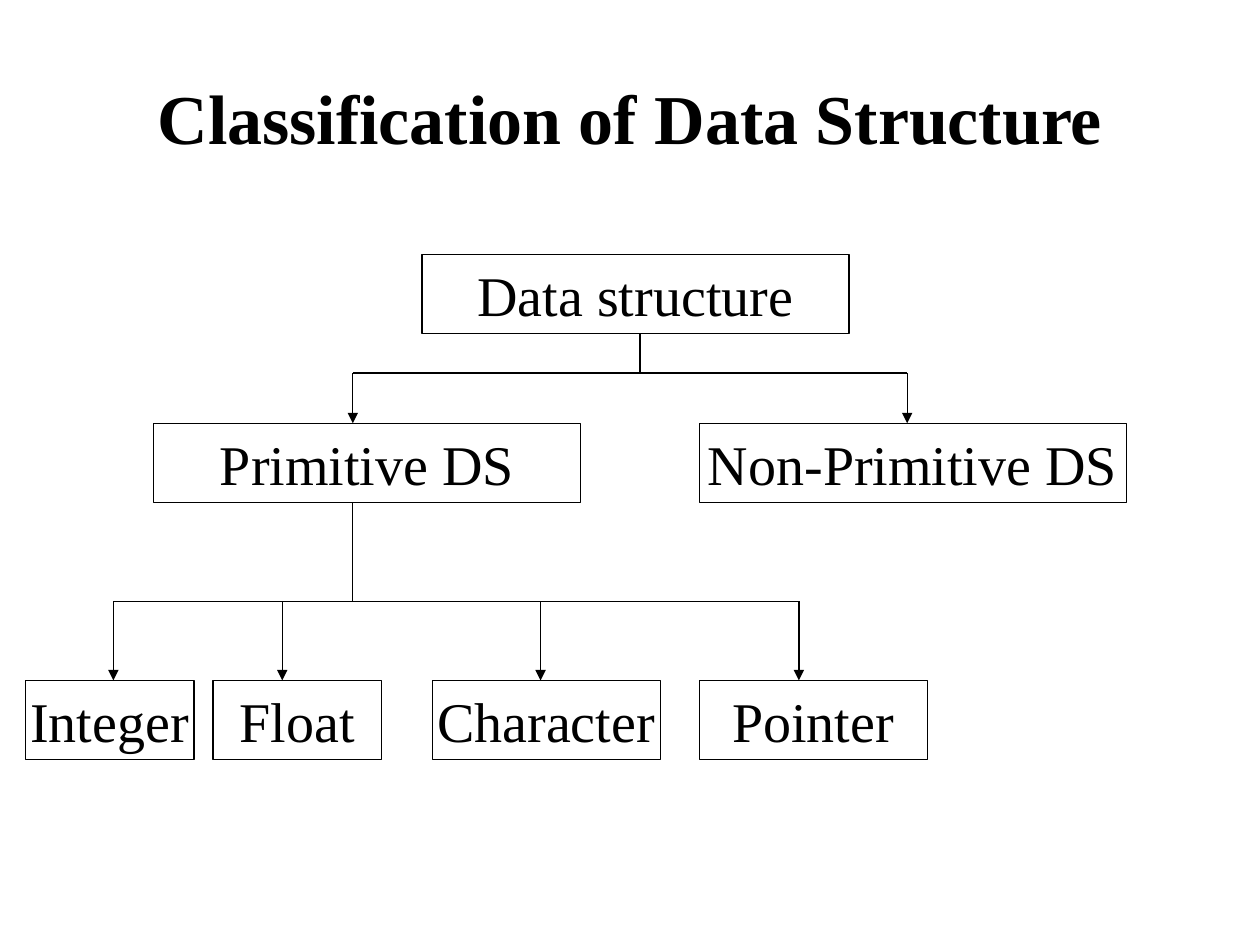
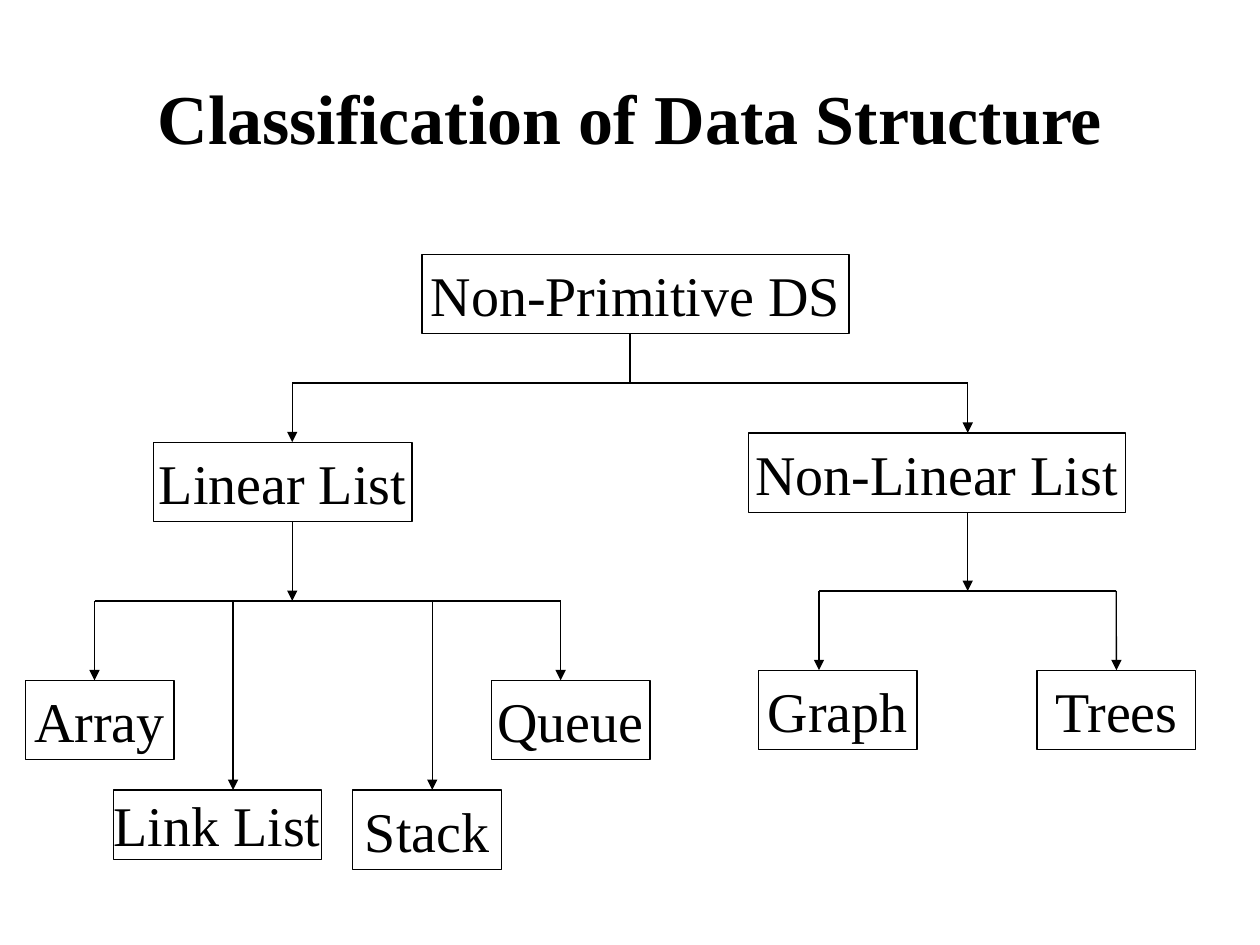
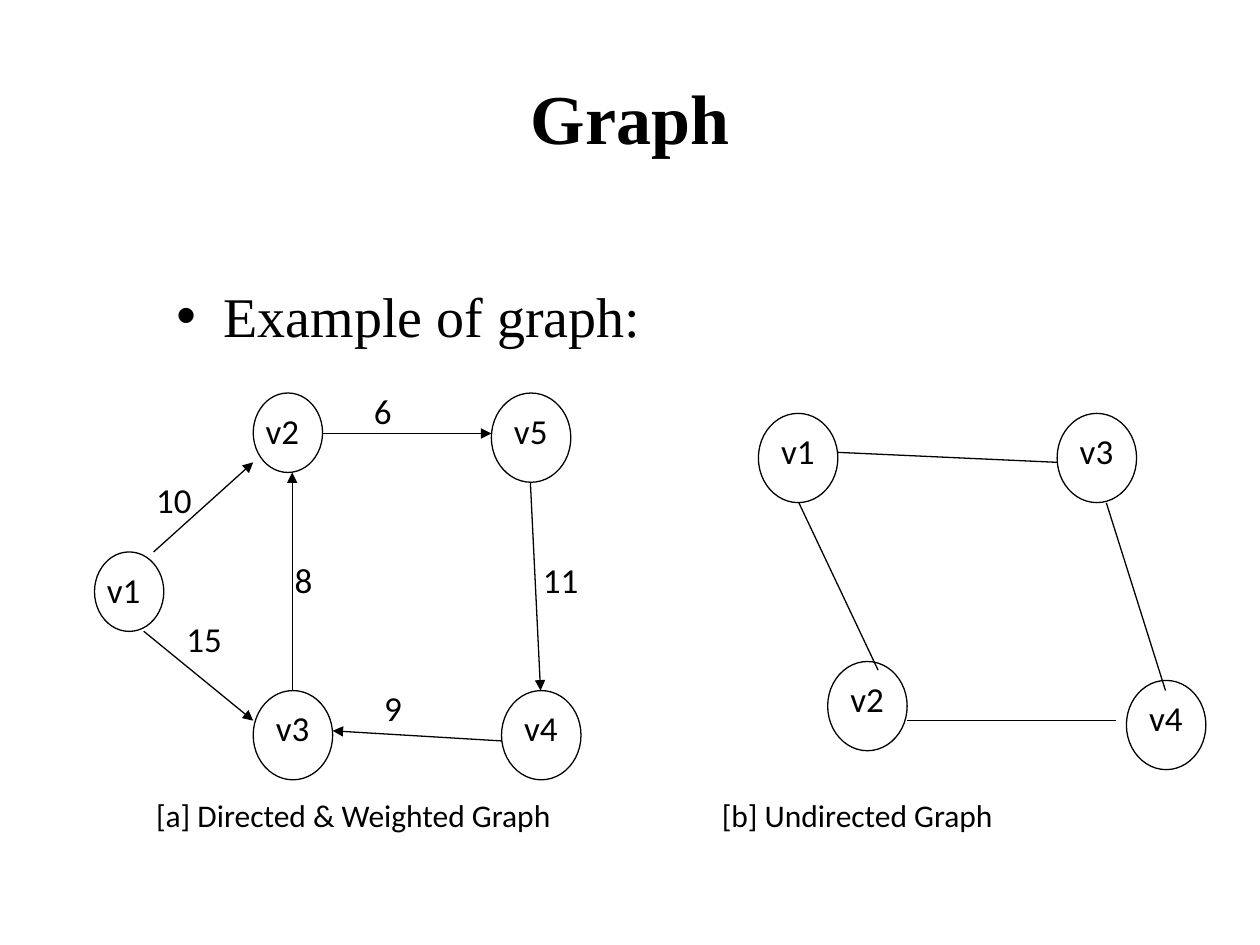
import dataclasses

import lxml.etree
import pptx
import pptx.dml.color
import pptx.enum.shapes
import pptx.enum.text
import pptx.oxml.ns
import pptx.util

Pt = pptx.util.Pt
SHAPES = pptx.enum.shapes.MSO_SHAPE
ALIGN = pptx.enum.text.PP_ALIGN
qn = pptx.oxml.ns.qn


@dataclasses.dataclass(frozen=True)
class Theme:
    ink: str = "000000"
    paper: str = "FFFFFF"
    serif: str = "Times New Roman"
    sans: str = "Calibri"
    title_size: float = 40
    body_size: float = 32
    label_size: float = 20
    caption_size: float = 18
    stroke: float = 0.75
    box_height: float = 45.4
    label_width: float = 39.6
    label_height: float = 31
    label_drop: float = 5.7


class Deck:
    def __init__(self, theme):
        self.theme = theme
        self.presentation = pptx.Presentation()
        self.presentation.slide_width = Pt(720)
        self.presentation.slide_height = Pt(540)
        self.slide = None

    def color(self, code):
        return pptx.dml.color.RGBColor.from_string(code)

    def set_text(self, frame, text, size, face, bold=False, align=None):
        paragraph = frame.paragraphs[0]
        paragraph.text = text
        paragraph.alignment = align
        font = paragraph.font
        font.name, font.size, font.bold = face, Pt(size), bold
        font.color.rgb = self.color(self.theme.ink)

    def place(self, shape, left, top, width, height):
        shape.left, shape.top = Pt(left), Pt(top)
        shape.width, shape.height = Pt(width), Pt(height)

    def new_slide(self, title, bullet=None):
        layout = self.presentation.slide_layouts[1 if bullet else 5]
        self.slide = self.presentation.slides.add_slide(layout)
        heading = self.slide.shapes.title
        self.place(heading, 36, 21.6, 648, 90)
        self.set_text(heading.text_frame, title, self.theme.title_size,
                      self.theme.serif, True, ALIGN.CENTER)
        if bullet:
            body = self.slide.placeholders[1]
            self.place(body, 93.6, 157, 612, 324)
            self.set_text(body.text_frame, bullet, self.theme.body_size, self.theme.serif)

    def outlined(self, kind, left, top, width, height):
        shape = self.slide.shapes.add_shape(kind, Pt(left), Pt(top), Pt(width), Pt(height))
        shape.shadow.inherit = False
        shape.fill.solid()
        shape.fill.fore_color.rgb = self.color(self.theme.paper)
        shape.line.color.rgb = self.color(self.theme.ink)
        shape.line.width = Pt(self.theme.stroke)
        return shape

    def box(self, text, left, top, width, height=None):
        box = self.outlined(SHAPES.RECTANGLE, left, top, width,
                            height or self.theme.box_height)
        box.text_frame.word_wrap = False
        box.text_frame.vertical_anchor = pptx.enum.text.MSO_ANCHOR.MIDDLE
        self.set_text(box.text_frame, text, self.theme.body_size, self.theme.serif,
                      align=ALIGN.CENTER)
        return box

    def label(self, text, left, top, width=None, height=None, size=None):
        label = self.slide.shapes.add_textbox(
            Pt(left), Pt(top), Pt(width or self.theme.label_width),
            Pt(height or self.theme.label_height))
        label.text_frame.word_wrap = True
        label.text_frame.auto_size = pptx.enum.text.MSO_AUTO_SIZE.SHAPE_TO_FIT_TEXT
        self.set_text(label.text_frame, text, size or self.theme.label_size,
                      self.theme.sans)

    def caption(self, text, left, top):
        self.label(text, left, top, 295.2, 41, self.theme.caption_size)

    def vertex(self, name, left, top, width=45.4, height=51):
        """Draw a circle with its name aligned to the circle's right edge."""
        self.outlined(SHAPES.OVAL, left, top, width, height)
        self.label(name, left + width - self.theme.label_width,
                   top + self.theme.label_drop)

    def line(self, x1, y1, x2, y2, arrow=False):
        line = self.slide.shapes.add_connector(
            pptx.enum.shapes.MSO_CONNECTOR.STRAIGHT, Pt(x1), Pt(y1), Pt(x2), Pt(y2))
        line.line.color.rgb = self.color(self.theme.ink)
        line.line.width = Pt(self.theme.stroke)
        properties = line._element.spPr
        if arrow:
            lxml.etree.SubElement(properties.find(qn("a:ln")), qn("a:tailEnd"),
                                  type="triangle")
        lxml.etree.SubElement(properties, qn("a:effectLst"))
        return line

    def is_middle(self, box, x):
        return abs(box.left + box.width / 2 - Pt(x)) < Pt(1)

    def branch(self, parent, stem_x, bus_y, children, stem_arrow=False):
        """Join a parent to (child, arrow x) pairs through a horizontal bus."""
        stem = self.line(stem_x, (parent.top + parent.height) / Pt(1),
                         stem_x, bus_y, stem_arrow)
        if self.is_middle(parent, stem_x):
            stem.begin_connect(parent, 2)
        xs = [x for _, x in children]
        self.line(min(xs), bus_y, max(xs), bus_y)
        for child, x in children:
            drop = self.line(x, bus_y, x, child.top / Pt(1), True)
            if self.is_middle(child, x):
                drop.end_connect(child, 0)


def data_structure_slide(deck):
    deck.new_slide("Classification of Data Structure")
    root = deck.box("Data structure", 241.2, 145.4, 244)
    primitive = deck.box("Primitive DS", 87.8, 241.9, 244)
    non_primitive = deck.box("Non-Primitive DS", 399.6, 241.9, 244)
    leaf_top = 388.8
    integer = deck.box("Integer", 14.4, leaf_top, 96.5)
    float_ = deck.box("Float", 121.7, leaf_top, 96.5)
    character = deck.box("Character", 247, leaf_top, 130.3)
    pointer = deck.box("Pointer", 399.6, leaf_top, 130.3)
    deck.branch(root, 365.8, 213.1, [(primitive, 201.6), (non_primitive, 518.4)])
    deck.branch(primitive, 201.6, 343.7,
                [(integer, 64.8), (float_, 161.3), (character, 308.9), (pointer, 456.5)])


def non_primitive_slide(deck):
    deck.new_slide("Classification of Data Structure")
    root = deck.box("Non-Primitive DS", 241.2, 145.4, 244)
    linear = deck.box("Linear List", 87.8, 252.7, 147.6)
    non_linear = deck.box("Non-Linear List", 427.7, 247.4, 215.3)
    array = deck.box("Array", 14.4, 388.8, 85)
    link_list = deck.box("Link List", 64.8, 451.4, 118.8, 39.6)
    stack = deck.box("Stack", 201.6, 451.4, 85)
    queue = deck.box("Queue", 280.8, 388.8, 90.7)
    graph = deck.box("Graph", 433.4, 383, 90.7)
    trees = deck.box("Trees", 592.6, 383, 90.7)
    deck.branch(root, 360, 218.9, [(linear, 167), (non_linear, 553)])
    deck.branch(linear, 167, 343.4,
                [(array, 54), (link_list, 133.2), (stack, 247), (queue, 320.4)], True)
    deck.branch(non_linear, 553, 337.7, [(graph, 468), (trees, 637.9)], True)


def graph_slide(deck):
    deck.new_slide("Graph", "Example of graph:")

    deck.vertex("v1", 54, 315.4, 39.6, 45.4)
    deck.vertex("v2", 144.7, 224.6, 39.6, 45.4)
    for name, left, top in [
        ("v5", 280.8, 224.6), ("v3", 144.7, 394.6), ("v4", 286.6, 394.6),
        ("v1", 433.4, 236.2), ("v2", 473, 378), ("v4", 643.7, 388.8), ("v3", 604.1, 236.2),
    ]:
        deck.vertex(name, left, top)

    directed_edges = [
        ("10", (82.1, 270), (87.8, 315.4, 144.7, 264.2)),
        ("15", (99.4, 349.2), (82.1, 360.7, 144.7, 411.8)),
        ("8", (161.3, 315.4), (167, 394.6, 167, 270)),
        ("6", (206.6, 218.9), (184.3, 247.7, 280.8, 247.7)),
        ("11", (303.1, 315.4), (303.1, 275.8, 308.9, 394.6)),
        ("9", (212.4, 388.8), (286.6, 423.4, 190.1, 417.6)),
    ]
    for weight, corner, ends in directed_edges:
        deck.line(*ends, arrow=True)
        deck.label(weight, *corner)

    for ends in [
        (478.8, 258.5, 604.1, 264.2), (518.4, 411.8, 637.9, 411.8),
        (456.5, 287.3, 501.8, 383), (632.2, 287.3, 666, 394.6),
    ]:
        deck.line(*ends)

    deck.caption("[a] Directed & Weighted Graph", 82.1, 451.4)
    deck.caption("[b] Undirected Graph", 405.4, 451.4)


def main():
    deck = Deck(Theme())
    data_structure_slide(deck)
    non_primitive_slide(deck)
    graph_slide(deck)
    deck.presentation.save("out.pptx")


if __name__ == "__main__":
    main()
